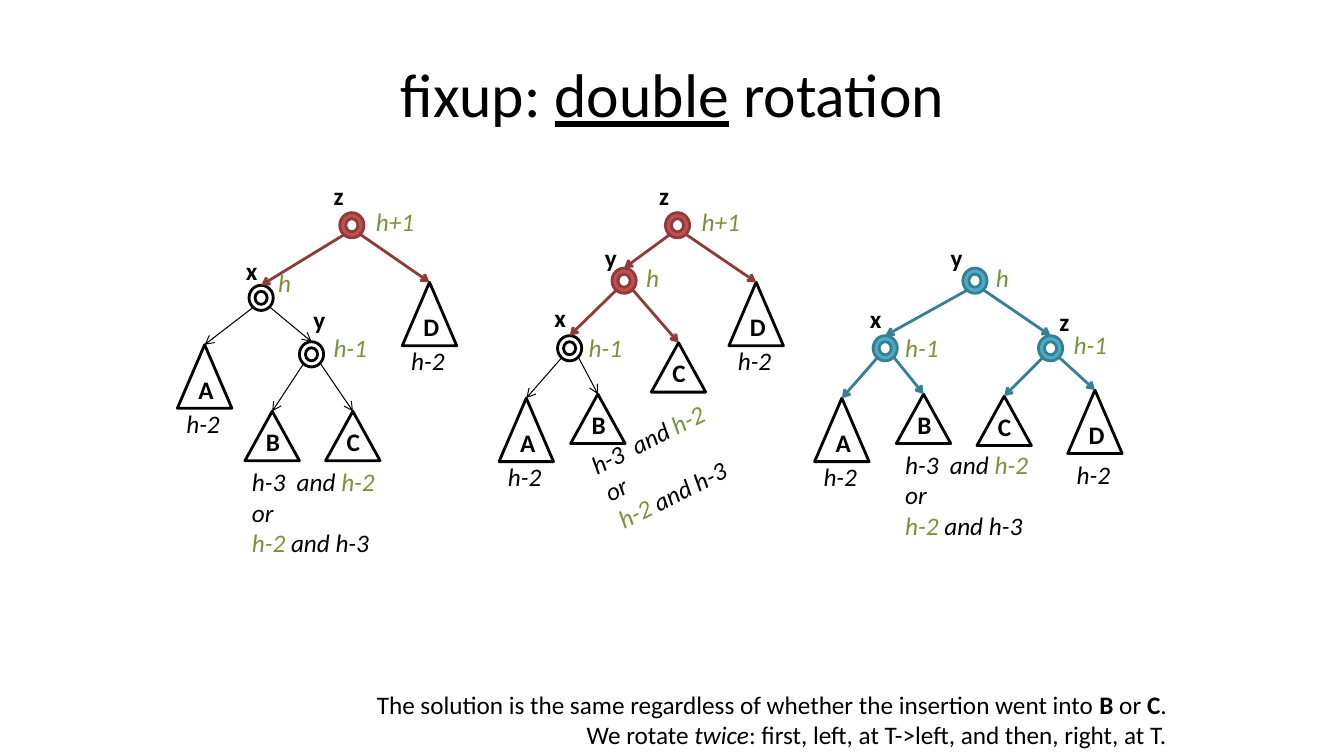
from lxml import etree
from pptx import Presentation
from pptx.dml.color import RGBColor
from pptx.enum.shapes import MSO_CONNECTOR, MSO_SHAPE
from pptx.enum.text import MSO_ANCHOR, MSO_AUTO_SIZE, PP_ALIGN
from pptx.oxml.ns import qn
from pptx.util import Pt

PX = 9144
DONUT, TRIANGLE = MSO_SHAPE.DONUT, MSO_SHAPE.ISOSCELES_TRIANGLE
STRAIGHT = MSO_CONNECTOR.STRAIGHT
TOP, MIDDLE = MSO_ANCHOR.TOP, MSO_ANCHOR.MIDDLE
FIT, NO_FIT = MSO_AUTO_SIZE.SHAPE_TO_FIT_TEXT, MSO_AUTO_SIZE.NONE
LEFT, CENTER, RIGHT = PP_ALIGN.LEFT, PP_ALIGN.CENTER, PP_ALIGN.RIGHT

COLORS = {
    "white": "FFFFFF", "black": "000000", "green": "77933C",
    "red": "C0504D", "dark_red": "8E3B39",
    "teal": "4BACC6", "dark_teal": "377F92",
}
STYLES = {
    "plain": ("white", "black", 0.75),
    "red": ("red", "dark_red", 2),
    "teal": ("teal", "dark_teal", 2),
}
LABEL_WIDTHS = {"z": 30, "A": 36, "B": 34, "C": 34, "D": 36,
                "h-1": 54, "h-2": 54, "h+1": 59}
TALL, SHORT = 63, 49
GREEN = {"color": "green"}
BOLD = {"bold": True}


def rgb(name):
    """Return the named colour."""
    return RGBColor.from_string(COLORS[name])


def px(*lengths):
    """Turn pixel lengths into EMU."""
    return [n * PX for n in lengths]


def add_text(s, box, paragraphs, size=18, color="black", bold=False, italic=False,
             align=LEFT, anchor=TOP, wrap=False, fit=FIT, rotation=0):
    """Add a text box from paragraphs of (text, overrides) runs."""
    sp = s.shapes.add_textbox(*px(*box))
    sp.rotation = rotation
    tf = sp.text_frame
    tf.word_wrap, tf.auto_size, tf.vertical_anchor = wrap, fit, anchor
    base = {"color": color, "bold": bold, "italic": italic, "underline": False}
    for i, runs in enumerate(paragraphs):
        p = tf.add_paragraph() if i else tf.paragraphs[0]
        p.alignment = align
        for text, overrides in runs:
            look = {**base, **overrides}
            r = p.add_run()
            r.text = text
            r.font.name, r.font.size = "Calibri", Pt(size)
            r.font.bold, r.font.italic = look["bold"], look["italic"]
            r.font.underline = look["underline"]
            r.font.color.rgb = rgb(look["color"])


def add_label(s, x, y, text, **fmt):
    """Add a one-word label."""
    add_text(s, (x, y, LABEL_WIDTHS.get(text, 33), 40), [[(text, {})]], **fmt)


def add_outline(s, kind, box, fill, line):
    """Add a filled preset shape with a 2 pt outline."""
    sp = s.shapes.add_shape(kind, *px(*box))
    sp.shadow.inherit = False
    sp.fill.solid()
    sp.fill.fore_color.rgb = rgb(fill)
    sp.line.color.rgb = rgb(line)
    sp.line.width = Pt(2)


def add_link(s, start, end, color, width):
    """Add an arrow from a node to a child."""
    cn = s.shapes.add_connector(STRAIGHT, *px(*start, *end))
    cn.line.color.rgb = rgb(color)
    cn.line.width = Pt(width)
    sp_pr = cn._element.spPr
    etree.SubElement(sp_pr.get_or_add_ln(), qn("a:tailEnd"), type="arrow")
    etree.SubElement(sp_pr, qn("a:effectLst"))


def subtree(s, x, y, name, size=TALL, gap=-5):
    """Draw a subtree triangle, with its height if tall, and return its apex."""
    add_outline(s, TRIANGLE, (x, y, 54, size), "white", "black")
    add_label(s, x + 11, y + size - 39, name, bold=True)
    if size == TALL:
        add_label(s, x - 1, y + size + gap, "h-2", italic=True)
    return x + 27, y


def node(s, x, y, style, name, name_at, height, height_at, left, right):
    """Draw a node linked to two child points and return its top."""
    fill, line, width = STYLES[style]
    add_outline(s, DONUT, (x, y, 24, 25), fill, line)
    add_link(s, (x + 4, y + 22), left, line, width)
    add_link(s, (x + 21, y + 22), right, line, width)
    add_label(s, *name_at, name, bold=True)
    add_label(s, *height_at, height, color="green", italic=True)
    return x + 12, y


def height_cases(s, x, y, rotation=0):
    """Add the two possible height pairs of B and C."""
    add_text(s, (x, y, 143, 101), [
        [("h-3  and ", {}), ("h-2", GREEN)],
        [("or", {})],
        [("h-2", GREEN), (" and h-3", {})],
    ], italic=True, rotation=rotation)


def unbalanced_tree(s):
    """Draw the tree before any rotation."""
    y = node(s, 297, 339, "plain", "y", (301, 297), "h-1", (321, 325),
             subtree(s, 243, 408, "B", SHORT), subtree(s, 323, 408, "C", SHORT))
    x = node(s, 247, 283, "plain", "x", (234, 248), "h", (266, 260),
             subtree(s, 176, 342, "A"), y)
    node(s, 337, 211, "red", "z", (321, 174), "h+1", (363, 200),
         x, subtree(s, 399, 280, "D"))
    height_cases(s, 240, 458)


def half_rotated_tree(s):
    """Draw the tree after the left rotation."""
    x = node(s, 553, 333, "plain", "x", (540, 295), "h-1", (574, 325),
             subtree(s, 495, 395, "A"), subtree(s, 566, 391, "B", SHORT))
    y = node(s, 607, 266, "red", "y", (590, 235), "h", (631, 255),
             x, subtree(s, 646, 340, "C", SHORT))
    node(s, 660, 211, "red", "z", (644, 174), "h+1", (686, 200),
         y, subtree(s, 723, 280, "D"))
    height_cases(s, 585, 412, rotation=333.4)


def balanced_tree(s):
    """Draw the tree after the right rotation."""
    x = node(s, 866, 333, "teal", "x", (853, 296), "h-1", (888, 325),
             subtree(s, 808, 395, "A"), subtree(s, 889, 391, "B", SHORT))
    z = node(s, 1030, 333, "teal", "z", (1041, 299), "h-1", (1055, 322),
             subtree(s, 969, 393, "C", SHORT), subtree(s, 1059, 387, "D", gap=1))
    node(s, 955, 266, "teal", "y", (933, 235), "h", (978, 255), x, z)
    height_cases(s, 888, 441)


def main():
    """Build the slide and save it."""
    prs = Presentation()
    prs.slide_width, prs.slide_height = px(1333, 750)
    s = prs.slides.add_slide(prs.slide_layouts[6])
    unbalanced_tree(s)
    half_rotated_tree(s)
    balanced_tree(s)
    add_text(s, (67, 30, 1200, 125), [
        [("fixup: ", {}), ("double", {"underline": True}), (" rotation", {})],
    ], size=44, align=CENTER, anchor=MIDDLE, wrap=True, fit=NO_FIT)
    add_text(s, (167, 679, 1000, 71), [
        [("The solution is the same regardless of whether the insertion went into ", {}),
         ("B", BOLD), (" or ", {}), ("C", BOLD), (".", {})],
        [("We rotate ", {}), ("twice", {"italic": True}),
         (": first, left, at T->left, and then, right, at T.", {})],
    ], align=RIGHT, wrap=True)
    prs.save("out.pptx")


if __name__ == "__main__":
    main()
